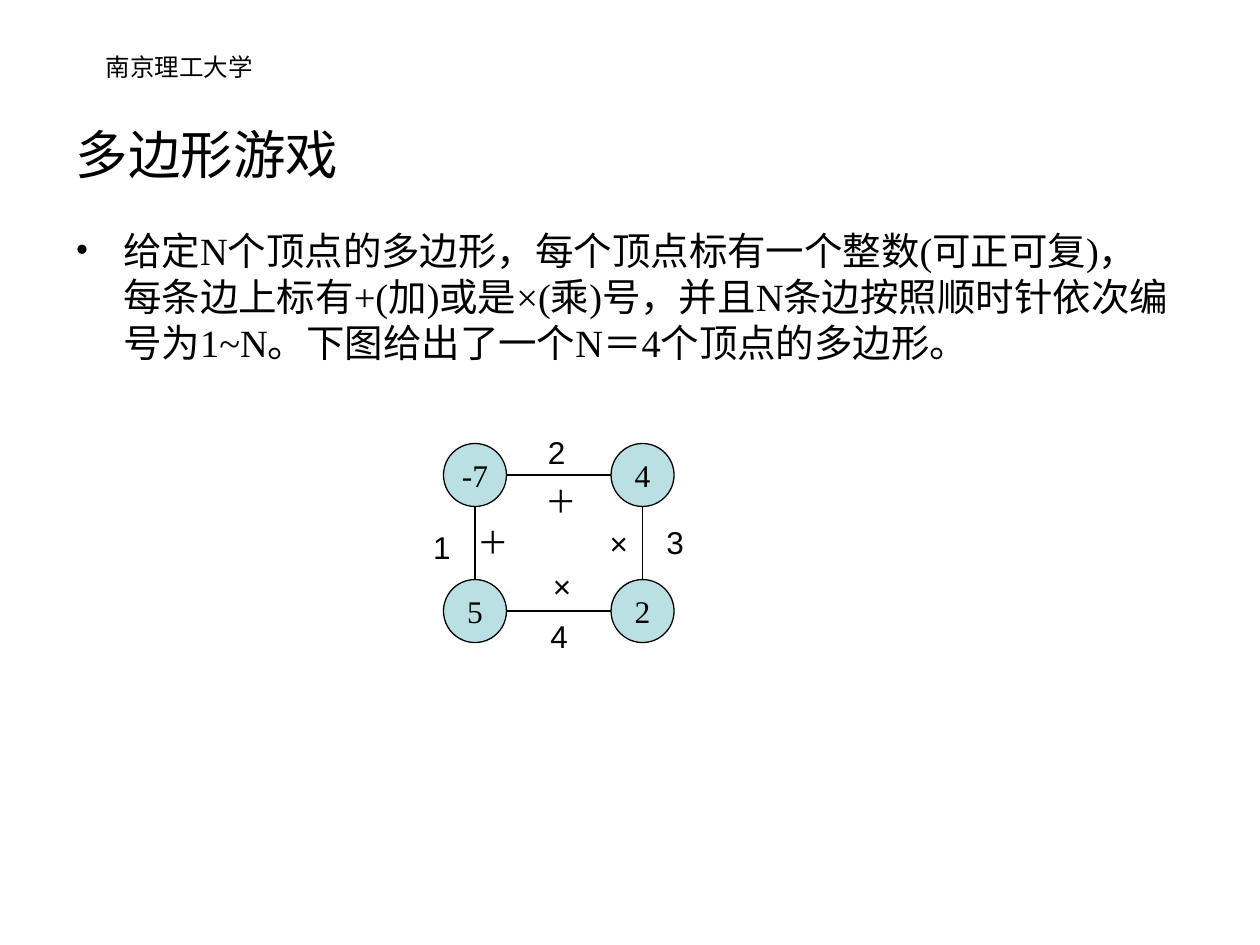
from dataclasses import dataclass

from lxml import etree
from pptx import Presentation
from pptx.dml.color import RGBColor
from pptx.enum import shapes, text
from pptx.oxml import ns
from pptx.util import Inches, Pt


@dataclass(frozen=True)
class Theme:
    ink: RGBColor = RGBColor(0x00, 0x00, 0x00)
    vertex: RGBColor = RGBColor(0xBB, 0xE0, 0xE3)
    sans: str = "Arial"
    serif: str = "Times New Roman"
    header: int = 14
    title: int = 30
    body: int = 22
    label: int = 18
    line: float = 0.75


theme = Theme()
LEFT, CENTER = text.PP_ALIGN.LEFT, text.PP_ALIGN.CENTER
TOP, MIDDLE = text.MSO_ANCHOR.TOP, text.MSO_ANCHOR.MIDDLE


def write(shape, runs, size, align=LEFT, anchor=TOP, wrap=True):
    """Fill the shape with one paragraph of (words, font name) runs."""
    frame = shape.text_frame
    frame.word_wrap = wrap
    frame.vertical_anchor = anchor
    paragraph = frame.paragraphs[0]
    paragraph.alignment = align
    for words, font_name in runs:
        run = paragraph.add_run()
        run.text = words
        for name, value in {"name": font_name, "size": Pt(size)}.items():
            setattr(run.font, name, value)
        run.font.color.rgb = theme.ink
    return paragraph


presentation = Presentation()
presentation.slide_width, presentation.slide_height = Inches(10), Inches(7.5)
slide = presentation.slides.add_slide(presentation.slide_layouts[5])

# Header, title and description
header = slide.shapes.add_textbox(Inches(-0.16), Inches(0.36), Inches(3.17), Inches(0.52))
write(header, [("南京理工大学", theme.sans)], theme.header, CENTER)

title = slide.shapes.title
place = {"left": 0.5, "top": 0.59, "width": 9, "height": 1.25}
for name, value in place.items():
    setattr(title, name, Inches(value))
write(title, [("多边形游戏", theme.sans)], theme.title, LEFT, MIDDLE)

description = slide.shapes.add_textbox(Inches(0.5), Inches(1.75), Inches(8.92), Inches(1.25))
paragraph = write(description, [
    ("给定N个顶点的多边形，每个顶点标有一个整数(可正可复)，"
     "每条边上标有+(加)或是×(乘)号，并且N条边按照顺时针依次编号为1~N。"
     "下图给出了一个N＝4个顶点的多边形", theme.serif),
    ("。", theme.sans),
], theme.body)
properties = paragraph._p.get_or_add_pPr()
properties.set("marL", str(Inches(0.38)))
properties.set("indent", str(-Inches(0.38)))
etree.SubElement(properties, ns.qn("a:buFont"), typeface=theme.serif)
etree.SubElement(properties, ns.qn("a:buChar"), char="•")

# Polygon: vertices clockwise from the top left
diameter = 0.5
radius = diameter / 2
west, east, north, south = 3.77, 5.1, 3.77, 4.85
vertices = [("-7", west, north), ("4", east, north), ("2", east, south), ("5", west, south)]
for value, x, y in vertices:
    vertex = slide.shapes.add_shape(
        shapes.MSO_SHAPE.OVAL, Inches(x - radius), Inches(y - radius),
        Inches(diameter), Inches(diameter))
    vertex.shadow.inherit = False
    vertex.fill.solid()
    vertex.fill.fore_color.rgb = theme.vertex
    vertex.line.color.rgb = theme.ink
    vertex.line.width = Pt(theme.line)
    write(vertex, [(value, theme.serif)], theme.label, CENTER, MIDDLE, wrap=False)

edges = [
    (west, north + radius, west, south - radius),
    (east, north + radius, east, south - radius),
    (west + radius, south, east - radius, south),
    (west + radius, north, east - radius, north),
]
for ends in edges:
    edge = slide.shapes.add_connector(
        shapes.MSO_CONNECTOR.STRAIGHT, *(Inches(end) for end in ends))
    edge.line.color.rgb = theme.ink
    edge.line.width = Pt(theme.line)
    etree.SubElement(edge._element.spPr, ns.qn("a:effectLst"))

# Operators and edge numbers: words, left, top, width
labels = [
    ("＋", 3.69, 4.1, 0.45), ("＋", 4.23, 3.78, 0.45),
    ("×", 4.74, 4.11, 0.34), ("×", 4.29, 4.45, 0.34),
    ("1", 3.34, 4.14, 0.34), ("2", 4.25, 3.39, 0.34),
    ("3", 5.19, 4.1, 0.34), ("4", 4.27, 4.85, 0.34),
]
for words, left, top, width in labels:
    label = slide.shapes.add_textbox(Inches(left), Inches(top), Inches(width), Inches(0.4))
    label.text_frame.auto_size = text.MSO_AUTO_SIZE.SHAPE_TO_FIT_TEXT
    write(label, [(words, theme.sans)], theme.label, wrap=False)

presentation.save("out.pptx")
